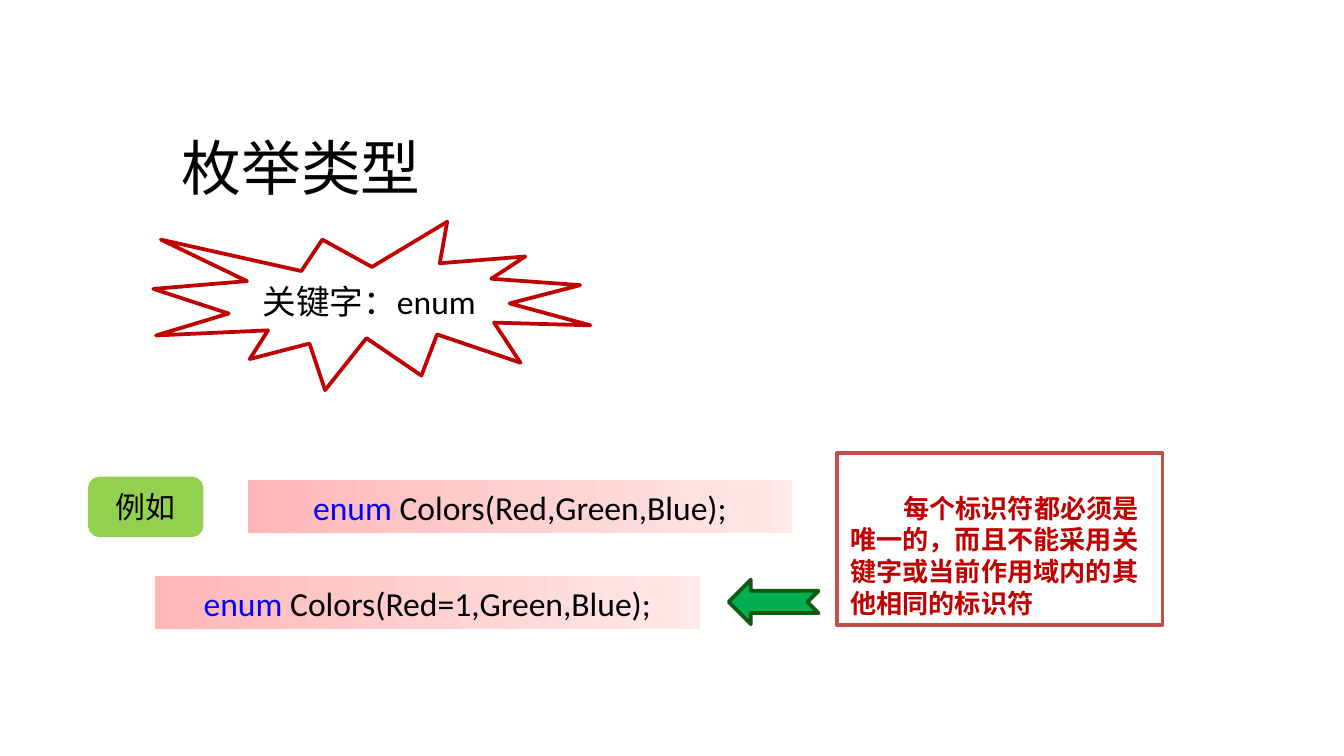
from lxml.etree import SubElement
from pptx import Presentation
from pptx.dml.color import RGBColor
from pptx.enum.shapes import MSO_SHAPE
from pptx.enum.text import MSO_ANCHOR, PP_ALIGN
from pptx.oxml.ns import qn
from pptx.util import Cm, Pt

COLORS = {
    "text": "000000",
    "keyword": "0000FF",
    "white": "FFFFFF",
    "red": "C00000",
    "note_line": "C0504D",
    "lime": "92D050",
    "arrow": "00B050",
    "arrow_line": "125810",
    "code_start": "FFB7B7",
    "code_end": "FFE9E9",
}
LATIN = "Calibri"
CJK = "Noto Sans CJK SC"


def rgb(name):
    return RGBColor.from_string(COLORS[name])


def format_run(r, size, color="text", font=LATIN, bold=False):
    r.font.size = Pt(size)
    r.font.bold = bold
    r.font.color.rgb = rgb(color)
    r.font.name = font
    SubElement(r._r.get_or_add_rPr(), qn("a:ea")).set("typeface", CJK)


def add_box(s, kind, box, fill, line):
    """Add a preset shape at box (left, top, width, height in cm)."""
    sp = s.shapes.add_shape(kind, *(Cm(v) for v in box))
    sp.shadow.inherit = False
    sp.fill.solid()
    sp.fill.fore_color.rgb = rgb(fill)
    sp.line.color.rgb = rgb(line)
    sp.line.width = Pt(2)
    tf = sp.text_frame
    tf.word_wrap = True
    tf.vertical_anchor = MSO_ANCHOR.MIDDLE
    tf.paragraphs[0].alignment = PP_ALIGN.CENTER
    return sp


def add_title(s, box, text):
    sp = s.shapes.title
    sp.left, sp.top, sp.width, sp.height = (Cm(v) for v in box)
    tf = sp.text_frame
    tf.text = text
    tf.vertical_anchor = MSO_ANCHOR.MIDDLE
    p = tf.paragraphs[0]
    p.alignment = PP_ALIGN.LEFT
    format_run(p.runs[0], 32)


def add_label(s, kind, box, text, size, fill, line, font=LATIN):
    sp = add_box(s, kind, box, fill, line)
    p = sp.text_frame.paragraphs[0]
    p.text = text
    format_run(p.runs[0], size, font=font)


def add_code(s, box, declaration):
    """Add a gradient bar with an enum declaration, its keyword in blue."""
    sp = add_box(s, MSO_SHAPE.RECTANGLE, box, "white", "white")
    sp.fill.gradient()
    sp.fill.gradient_angle = 0
    for stop, color in zip(sp.fill.gradient_stops, ("code_start", "code_end")):
        stop.color.rgb = rgb(color)
    p = sp.text_frame.paragraphs[0]
    for text, color in (("enum ", "keyword"), (declaration, "text")):
        r = p.add_run()
        r.text = text
        format_run(r, 18, color)


def add_note(s, box, text):
    sp = add_box(s, MSO_SHAPE.RECTANGLE, box, "white", "note_line")
    tf = sp.text_frame
    tf.vertical_anchor = MSO_ANCHOR.BOTTOM
    p = tf.paragraphs[0]
    p.text = text
    p.alignment = PP_ALIGN.LEFT
    p.line_spacing = Pt(17)
    p._p.get_or_add_pPr().set("indent", str(Cm(1)))
    format_run(p.runs[0], 14, "red", CJK, bold=True)


def add_arrow(s, box):
    sp = add_box(s, MSO_SHAPE.NOTCHED_RIGHT_ARROW, box, "arrow", "arrow_line")
    sp.rotation = 180


def build_enum_slide(prs):
    s = prs.slides.add_slide(prs.slide_layouts[5])
    add_title(s, (3.18, 2.29, 9.09, 1.7), "枚举类型")
    add_label(s, MSO_SHAPE.EXPLOSION1, (2.9, 4.19, 8.26, 3.18),
              "关键字：enum", 18, "white", "red")
    add_label(s, MSO_SHAPE.ROUNDED_RECTANGLE, (1.7, 9.04, 2.11, 1.07),
              "例如", 16, "lime", "lime", CJK)
    add_code(s, (4.65, 9.04, 10.36, 1.07), "Colors(Red,Green,Blue);")
    add_note(s, (15.82, 8.56, 6.15, 3.25),
             "每个标识符都必须是唯一的，而且不能采用关键字或当前作用域内的其他相同的标识符")
    add_arrow(s, (13.77, 10.95, 1.7, 0.84))
    add_code(s, (2.9, 10.85, 10.36, 1.07), "Colors(Red=1,Green,Blue);")


def main():
    prs = Presentation()
    prs.slide_width, prs.slide_height = Cm(25.4), Cm(14.28)
    build_enum_slide(prs)
    prs.save("out.pptx")


if __name__ == "__main__":
    main()
